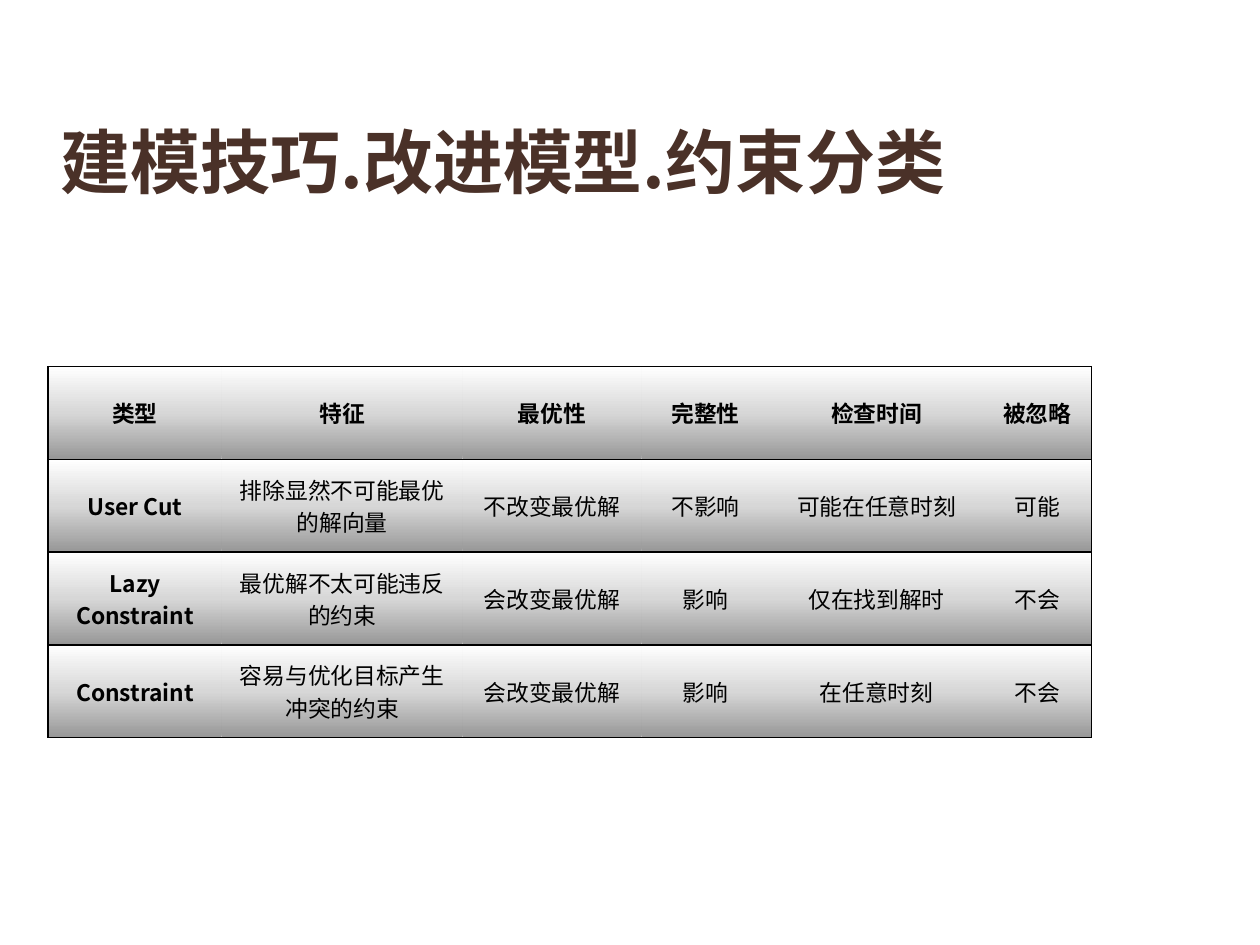
import lxml.etree
import pptx
import pptx.dml.color
import pptx.enum.text
import pptx.oxml
import pptx.oxml.ns
import pptx.util
from pptx.util import Cm, Pt

FONT = "Noto Sans CJK SC"
LEFT, WIDTH = Cm(0.97), Cm(21.03)
ROW_HEIGHT = Cm(1.87)
COLUMN_WIDTHS = [3.5, 4.85, 3.61, 2.59, 4.3, 2.18]
GRADIENT = [(0, "979797"), (50, "D7D7D7"), (100, "FFFFFF")]
NO_STYLE = "{2D5ABB26-0587-4C30-8999-92F81FD0307C}"
ROWS = [
    ["类型", "特征", "最优性", "完整性", "检查时间", "被忽略"],
    ["User Cut", "排除显然不可能最优的解向量", "不改变最优解", "不影响", "可能在任意时刻", "可能"],
    ["Lazy Constraint", "最优解不太可能违反的约束", "会改变最优解", "影响", "仅在找到解时", "不会"],
    ["Constraint", "容易与优化目标产生冲突的约束", "会改变最优解", "影响", "在任意时刻", "不会"],
]


def rgb(color):
    return pptx.dml.color.RGBColor.from_string(color)


def format_runs(p, size, color, bold):
    for r in p.runs:
        r.font.name = FONT
        r.font.size = Pt(size)
        r.font.bold = bold
        r.font.color.rgb = rgb(color)
        ea = lxml.etree.SubElement(r.font._element, pptx.oxml.ns.qn("a:ea"))
        ea.set("typeface", FONT)


def add_title(slide, text):
    title = slide.shapes.title
    title.left, title.top, title.width, title.height = LEFT, Cm(1.78), WIDTH, Cm(3.2)
    tf = title.text_frame
    tf.text = text
    tf.auto_size = pptx.enum.text.MSO_AUTO_SIZE.NONE
    tf.vertical_anchor = pptx.enum.text.MSO_ANCHOR.MIDDLE
    p = tf.paragraphs[0]
    p.alignment = pptx.enum.text.PP_ALIGN.LEFT
    p.line_spacing = Pt(40)
    format_runs(p, 40, "4A3128", True)


def add_cell_xml(cell, xml):
    ns = pptx.oxml.ns.nsdecls("a")
    tag, rest = xml.split(" ", 1)
    cell._tc.get_or_add_tcPr().append(pptx.oxml.parse_xml(f"{tag} {ns} {rest}"))


def draw_borders(cell, sides):
    """Draw black lines on the given sides, listed in schema order: L, R, T, B."""
    for side in sides:
        add_cell_xml(cell, f'<a:ln{side} w="{Pt(1)}"><a:solidFill><a:srgbClr val="000000"/>'
                           f'</a:solidFill></a:ln{side}>')


def fill_gradient(cell):
    stops = "".join(f'<a:gs pos="{pos * 1000}"><a:srgbClr val="{color}"/></a:gs>'
                    for pos, color in GRADIENT)
    add_cell_xml(cell, f'<a:gradFill rotWithShape="1"><a:gsLst>{stops}</a:gsLst>'
                       f'<a:lin ang="{270 * 60000}" scaled="0"/></a:gradFill>')


def format_cell(cell, text, bold, sides):
    cell.text = text
    cell.vertical_anchor = pptx.enum.text.MSO_ANCHOR.MIDDLE
    cell.margin_left = cell.margin_right = Cm(0.23)
    cell.margin_top = cell.margin_bottom = Cm(0.11)
    p = cell.text_frame.paragraphs[0]
    p.alignment = pptx.enum.text.PP_ALIGN.CENTER
    format_runs(p, 13, "000000", bold)
    draw_borders(cell, sides)
    fill_gradient(cell)


def add_constraint_table(slide):
    last = len(COLUMN_WIDTHS) - 1
    frame = slide.shapes.add_table(len(ROWS), len(COLUMN_WIDTHS), LEFT, Cm(7.39),
                                   WIDTH, ROW_HEIGHT * len(ROWS))
    table = frame.table
    table.first_row = table.horz_banding = False
    table._tbl.tblPr.find(pptx.oxml.ns.qn("a:tableStyleId")).text = NO_STYLE
    for column, width in zip(table.columns, COLUMN_WIDTHS):
        column.width = Cm(width)
    for i, texts in enumerate(ROWS):
        table.rows[i].height = ROW_HEIGHT
        for j, text in enumerate(texts):
            sides = {0: "LTB", last: "RTB"}.get(j, "TB")
            format_cell(table.cell(i, j), text, i == 0 or j == 0, sides)


def main():
    prs = pptx.Presentation()
    prs.slide_width, prs.slide_height = Cm(25.4), Cm(19.05)
    slide = prs.slides.add_slide(prs.slide_layouts.get_by_name("Title Only"))
    add_title(slide, "建模技巧.改进模型.约束分类")
    add_constraint_table(slide)
    prs.save("out.pptx")


if __name__ == "__main__":
    main()
